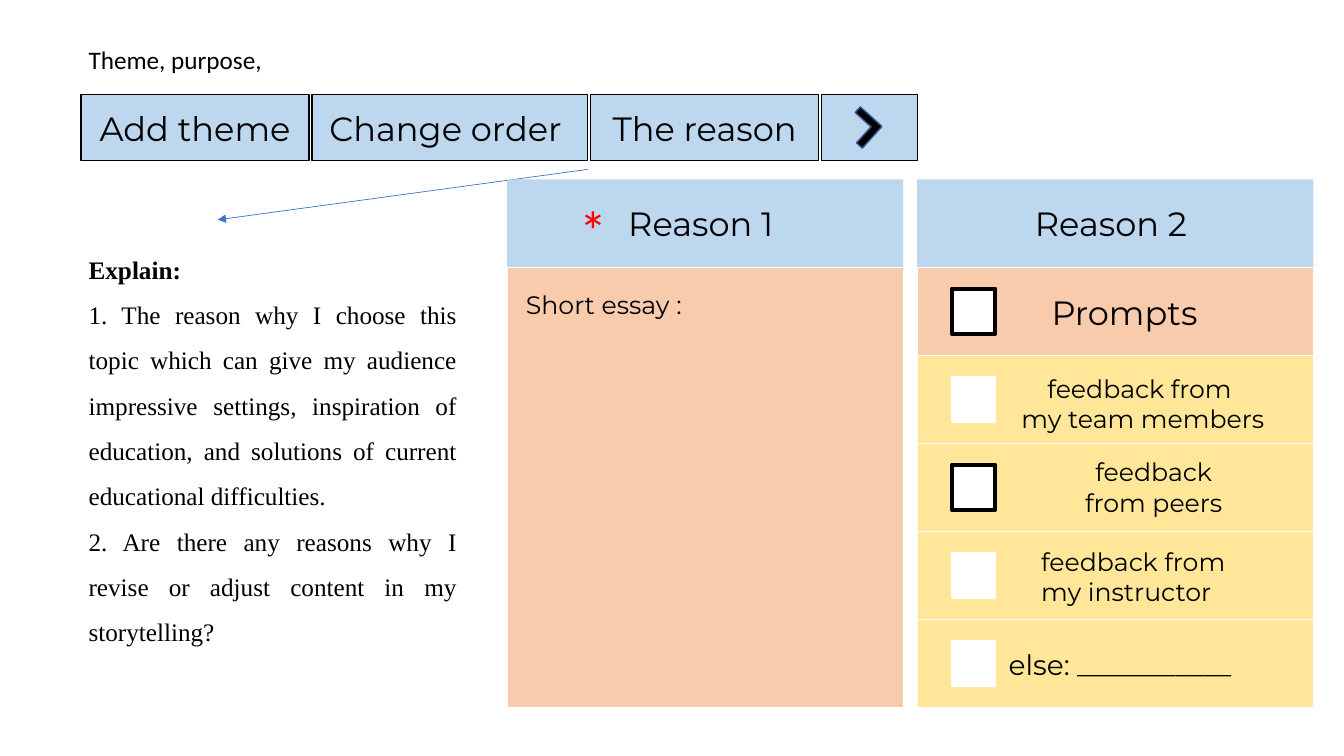
"""Build a slide with a storytelling menu, its explanation and two reason panels."""
from lxml import etree
from pptx import Presentation
from pptx.dml.color import RGBColor
from pptx.enum.shapes import MSO_CONNECTOR, MSO_SHAPE
from pptx.enum.text import MSO_ANCHOR, PP_ALIGN
from pptx.oxml.ns import qn
from pptx.util import Pt

RECT, CORNER = MSO_SHAPE.RECTANGLE, MSO_SHAPE.CORNER
STRAIGHT = MSO_CONNECTOR.STRAIGHT
LEFT, MID, FULL = PP_ALIGN.LEFT, PP_ALIGN.CENTER, PP_ALIGN.JUSTIFY
CENTRE = MSO_ANCHOR.MIDDLE

BLACK = RGBColor(0x00, 0x00, 0x00)
WHITE = RGBColor(0xFF, 0xFF, 0xFF)
RED = RGBColor(0xFF, 0x00, 0x00)
SKY = RGBColor(0xBD, 0xD7, 0xEE)
PEACH = RGBColor(0xF8, 0xCB, 0xAD)
SAND = RGBColor(0xFF, 0xE6, 0x99)
NAVY = RGBColor(0x32, 0x54, 0x91)
BLUE = RGBColor(0x44, 0x72, 0xC4)

MONT, SERIF, SANS = "Montserrat", "Times New Roman", "Calibri"

TABS = [("Add theme", 163), ("Change order ", 197), ("The reason", 163), ("", 68.5)]
TAB_X, TAB_Y, TAB_H, TAB_GAP = 57.8, 67.7, 46.8, 2

ROW_Y, ROW_H, PANEL_W = 128.2, 62.9, 283
ONE_X, TWO_X = 362.2, 655.2

ROWS = [
    (PEACH, "Prompts", 24, 13),
    (SAND, "", 24, 0),
    (SAND, "", 24, 0),
    (SAND, "", 24, 0),
    (SAND, "else: ___________ ", 20, 12),
]
TICKS = [(BLACK, 3), (WHITE, 1), (BLACK, 3), (WHITE, 1), (WHITE, 1)]
TICK_X, TICK_Y, TICK_W, TICK_H = 680, 206.2, 31, 32.4

EXPLAIN = [
    "Explain: ",
    "1. The reason why I choose this topic which can give my audience impressive "
    "settings, inspiration of education, and solutions of current educational "
    "difficulties. ",
    "2. Are there any reasons why I revise or adjust content in my storytelling? ",
]
NOTES = [
    ((698.4, 262.8, 236, 51), ["feedback from ", "my team members"], MONT, 18, BLACK, MID),
    ((736.6, 386.6, 170.6, 51), ["feedback from my instructor"], MONT, 18, BLACK, LEFT),
    ((759.6, 322.6, 129, 51), ["feedback from peers"], MONT, 18, BLACK, MID),
    ((368.6, 203, 162, 29), ["Short essay :"], MONT, 18, BLACK, LEFT),
    ((56.2, 28.1, 296, 29), ["Theme, purpose,"], SANS, 18, BLACK, LEFT),
    ((406.8, 136.1, 28, 55.4), ["*"], SANS, 40, RED, LEFT),
]

deck = Presentation()
deck.slide_width, deck.slide_height = Pt(960), Pt(540)
slide = deck.slides.add_slide(deck.slide_layouts[6])
shapes = slide.shapes


def style(para, font, size, color, align):
    para.alignment = align
    for run in para.runs:
        run.font.name, run.font.size = font, Pt(size)
        run.font.color.rgb = color


def add_box(place, fill, line=None, width=1, text="", size=24, inset=0, kind=RECT):
    box = shapes.add_shape(kind, *map(Pt, place))
    box.shadow.inherit = False
    box.fill.solid()
    box.fill.fore_color.rgb = fill
    if line is None:
        box.line.fill.background()
    else:
        box.line.color.rgb, box.line.width = line, Pt(width)
    if text:
        frame = box.text_frame
        frame.vertical_anchor = CENTRE
        frame.margin_left = Pt(7.2 + inset)
        frame.text = text
        style(frame.paragraphs[0], MONT, size, BLACK, MID)
    return box


def add_note(place, lines, font, size, color, align):
    frame = shapes.add_textbox(*map(Pt, place)).text_frame
    frame.word_wrap = True
    frame.text = "\n".join(lines)
    for para in frame.paragraphs:
        style(para, font, size, color, align)
    return frame


left = TAB_X
for text, width in TABS:
    add_box((left, TAB_Y, width, TAB_H), SKY, BLACK, text=text)
    left += width + TAB_GAP

chevron = add_box((604.8, 80.6, 20.9, 20.9), BLACK, NAVY, kind=CORNER)
chevron.rotation = 222.2
chevron.adjustments[0], chevron.adjustments[1] = 0.26, 0.27

frame = add_note((56.2, 177.8, 277.2, 360), EXPLAIN, SERIF, 18, BLACK, FULL)
frame.paragraphs[0].runs[0].font.bold = True
for para in frame.paragraphs[1:]:
    para.line_spacing = 1.5

arrow = shapes.add_connector(STRAIGHT, Pt(419.8), Pt(121), Pt(155.5), Pt(157))
arrow.line.color.rgb, arrow.line.width = BLUE, Pt(0.5)
props = arrow._element.spPr
etree.SubElement(props.find(qn("a:ln")), qn("a:tailEnd"), type="triangle")
etree.SubElement(props, qn("a:effectLst"))

for x, title in ((TWO_X, "Reason 2 "), (ONE_X, "Reason 1 ")):
    add_box((x, ROW_Y, PANEL_W, ROW_H), SKY, text=title)
add_box((ONE_X, ROW_Y + ROW_H, PANEL_W, ROW_H * len(ROWS)), PEACH, WHITE)

for i, (fill, text, size, inset) in enumerate(ROWS, 1):
    place = (TWO_X, ROW_Y + i * ROW_H, PANEL_W, ROW_H)
    add_box(place, fill, WHITE, text=text, size=size, inset=inset)

for i, (line, width) in enumerate(TICKS):
    place = (TICK_X, TICK_Y + i * ROW_H, TICK_W, TICK_H)
    add_box(place, WHITE, line, width)

for note in NOTES:
    add_note(*note)

deck.save("out.pptx")
